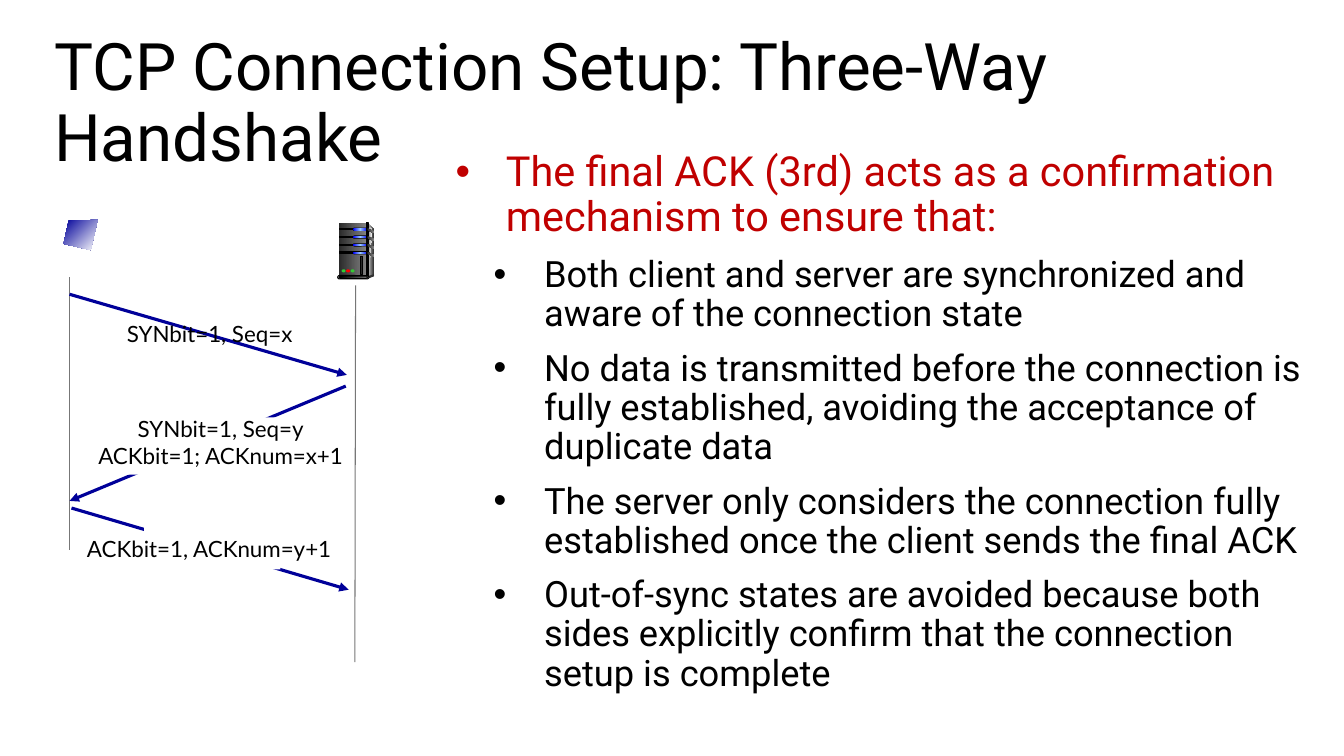
"""Build a slide on the TCP three-way handshake, with a sequence diagram and notes."""
from dataclasses import dataclass

from lxml import etree
from pptx import Presentation
from pptx import util as u
from pptx.dml.color import RGBColor
from pptx.enum import shapes, text
from pptx.oxml.ns import qn

COLORS = {
    "black": "000000", "white": "FFFFFF", "red": "C00000", "navy": "000099",
    "gray": "777777", "coal": "292929", "dark": "333333", "mid": "808080",
    "light": "DDDDDD", "pale": "F8F8F8", "blue": "0000FF", "sky": "99CCFF",
    "green": "33CC33", "alert": "FF0000",
}
RECT = shapes.MSO_SHAPE.RECTANGLE
PILL = shapes.MSO_SHAPE.ROUNDED_RECTANGLE
OVAL = shapes.MSO_SHAPE.OVAL
GLOW = ("blue", "sky", "blue")


@dataclass
class Line:
    x1: float
    y1: float
    x2: float
    y2: float
    color: str = "navy"
    width: float = 2.25
    arrow: bool = True


@dataclass
class Box:
    kind: shapes.MSO_SHAPE
    x: float
    y: float
    w: float
    h: float
    fill: tuple[str, ...]
    outlined: bool = False


@dataclass
class Poly:
    points: list[tuple[float, float]]
    fill: tuple[str, ...]
    angle: int = 0


@dataclass
class Label:
    x: float
    y: float
    w: float
    h: float
    lines: list[str]


def rgb(name: str) -> RGBColor:
    return RGBColor.from_string(COLORS[name])


def paint(sp, fill: tuple[str, ...], angle: int = 0, outlined: bool = False) -> None:
    sp.shadow.inherit = False
    if len(fill) == 1:
        sp.fill.solid()
        sp.fill.fore_color.rgb = rgb(fill[0])
    else:
        sp.fill.gradient()
        sp.fill.gradient_angle = (360 - angle) % 360
        stops = sp._element.spPr.find(qn("a:gradFill")).find(qn("a:gsLst"))
        for old in list(stops):
            stops.remove(old)
        for i, name in enumerate(fill):
            gs = etree.SubElement(stops, qn("a:gs"), pos=str(100000 * i // (len(fill) - 1)))
            etree.SubElement(gs, qn("a:srgbClr"), val=COLORS[name])
    if outlined:
        sp.line.color.rgb = rgb("black")
        sp.line.width = u.Pt(0.75)
    else:
        sp.line.fill.background()


def draw_line(s, d: Line) -> None:
    c = s.shapes.add_connector(shapes.MSO_CONNECTOR.STRAIGHT,
                               u.Pt(d.x1), u.Pt(d.y1), u.Pt(d.x2), u.Pt(d.y2))
    c.line.color.rgb = rgb(d.color)
    c.line.width = u.Pt(d.width)
    if d.arrow:
        etree.SubElement(c.line._get_or_add_ln(), qn("a:tailEnd"), type="triangle")
    etree.SubElement(c._element.spPr, qn("a:effectLst"))


def draw_box(s, d: Box) -> None:
    sp = s.shapes.add_shape(d.kind, u.Pt(d.x), u.Pt(d.y), u.Pt(d.w), u.Pt(d.h))
    if d.kind == PILL:
        sp.adjustments[0] = 0.5
    paint(sp, d.fill, outlined=d.outlined)


def draw_poly(s, d: Poly) -> None:
    pts = [(u.Pt(x), u.Pt(y)) for x, y in d.points]
    fb = s.shapes.build_freeform(*pts[0], scale=1.0)
    fb.add_line_segments(pts[1:], close=True)
    paint(fb.convert_to_shape(), d.fill, d.angle)


def add_text_box(s, x: float, y: float, w: float, h: float, wrap: bool = True):
    tf = s.shapes.add_textbox(u.Pt(x), u.Pt(y), u.Pt(w), u.Pt(h)).text_frame
    tf.word_wrap = wrap
    return tf


def write(tf, content: str, *, size: float, font: str = "Roboto", color: str = "black",
          align=None, spacing: float | None = None, before: float = 0, after: float = 0,
          level: int = 0, margin: float | None = None) -> None:
    p = tf.paragraphs[0] if not tf.text else tf.add_paragraph()
    p.level, p.alignment = level, align
    p.line_spacing = spacing
    p.space_before, p.space_after = u.Pt(before), u.Pt(after)
    if margin is not None:
        pPr = p._p.get_or_add_pPr()
        pPr.set("marL", str(u.Pt(margin)))
        pPr.set("indent", str(u.Pt(-36)))
        etree.SubElement(pPr, qn("a:buFont"), typeface="Arial")
        etree.SubElement(pPr, qn("a:buChar"), char="•")
    r = p.add_run()
    r.text = content
    r.font.name, r.font.size = font, u.Pt(size)
    r.font.color.rgb = rgb(color)


def draw_label(s, d: Label) -> None:
    tf = add_text_box(s, d.x, d.y, d.w, d.h, wrap=False)
    for line in d.lines:
        write(tf, line, size=16, font="Lato", align=text.PP_ALIGN.CENTER)


def server() -> list[Box | Poly]:
    rows = [163.2 + 5.6 * i for i in range(4)]
    parts = [
        Poly([(262.5, 159.3), (267, 164), (267, 196), (262.2, 197.5)], ("light", "dark")),
        Box(RECT, 242, 159.2, 19.5, 38.4, ("coal", "mid")),
        Poly([(262.8, 161.2), (265.7, 164), (263.5, 196), (262.8, 196.5)], ("mid", "pale")),
    ]
    for y in rows:
        parts += [
            Box(RECT, 242.2, y, 10.8, 0.8, ("black",), True),
            Box(PILL, 252, y - 0.6, 10.8, 2.3, ("black",)),
            Box(PILL, 252.4, y - 0.2, 10, 1.7, GLOW),
        ]
    parts.append(Box(RECT, 261.5, 159.2, 1.4, 38.7, ("dark", "light", "dark"), True))
    parts += [Poly([(262.5, y), (267, y + 2), (267, y + 3.4), (262.5, y + 1.3)],
                   ("coal", "mid")) for y in rows]
    parts += [
        Box(OVAL, 266.4, 195.8, 0.8, 1.6, ("dark",)),
        Poly([(262.6, 197.4), (262.6, 199.2), (267.1, 197.4), (267.1, 195.8)], ("dark",)),
        Box(PILL, 241.2, 196.8, 22.3, 2.4, ("light",), True),
        Box(PILL, 242.2, 197.2, 20.2, 1.6, ("black", "mid"), True),
    ]
    parts += [Box(OVAL, 244 + 3.2 * i, 192.4, 2.8, 2.2, (c,))
              for i, c in enumerate(("green", "alert", "green"))]
    parts.append(Box(RECT, 257.8, 183, 1.4, 13, ("coal",), True))
    return parts


DIAGRAM = [
    Line(49.7, 198, 49.7, 393.1, "gray", 0.75, False),
    Line(49.7, 210.2, 247.7, 267.8),
    Label(81.4, 225.4, 136.8, 26.6, ["SYNbit=1, Seq=x"]),
    Line(254, 203.8, 253.5, 473, "gray", 0.75, False),
    Line(247, 275.8, 49.7, 357.8),
    Box(RECT, 90, 298.1, 112.3, 41, ("white",)),
    Label(61.9, 293, 191.5, 46.1, ["SYNbit=1, Seq=y", "ACKbit=1; ACKnum=x+1"]),
    Line(51.1, 362.9, 249.1, 421.2),
    Box(RECT, 103, 373, 97.2, 33.8, ("white",)),
    Label(54, 378.7, 190.8, 26.6, ["ACKbit=1, ACKnum=y+1"]),
    Poly([(69.8, 157), (49, 157.7), (45.4, 174.2), (64.8, 178.6)], ("navy", "white"), 45),
    *server(),
]
DRAW = {Line: draw_line, Box: draw_box, Poly: draw_poly, Label: draw_label}
POINTS = [
    "Both client and server are synchronized and aware of the connection state",
    "No data is transmitted before the connection is fully established, "
    "avoiding the acceptance of duplicate data",
    "The server only considers the connection fully established once the client "
    "sends the final ACK",
    "Out-of-sync states are avoided because both sides explicitly confirm that "
    "the connection setup is complete",
]


def main() -> None:
    prs = Presentation()
    prs.slide_width, prs.slide_height = u.Pt(960), u.Pt(540)
    s = prs.slides.add_slide(prs.slide_layouts[6])
    for d in DIAGRAM:
        DRAW[type(d)](s, d)
    tf = add_text_box(s, 304.6, 104.4, 637.9, 403.9)
    write(tf, "The final ACK (3rd) acts as a confirmation mechanism to ensure that:",
          size=29.6, color="red", spacing=0.9, before=10, after=6, margin=49.7)
    for point in POINTS:
        write(tf, point, size=25.9, spacing=0.9, before=5, after=6, level=1, margin=77)
    tf = add_text_box(s, 31.7, 20.9, 897.1, 70.6)
    write(tf, "TCP Connection Setup: Three-Way Handshake", size=46.8, spacing=0.9)
    prs.save("out.pptx")


if __name__ == "__main__":
    main()
